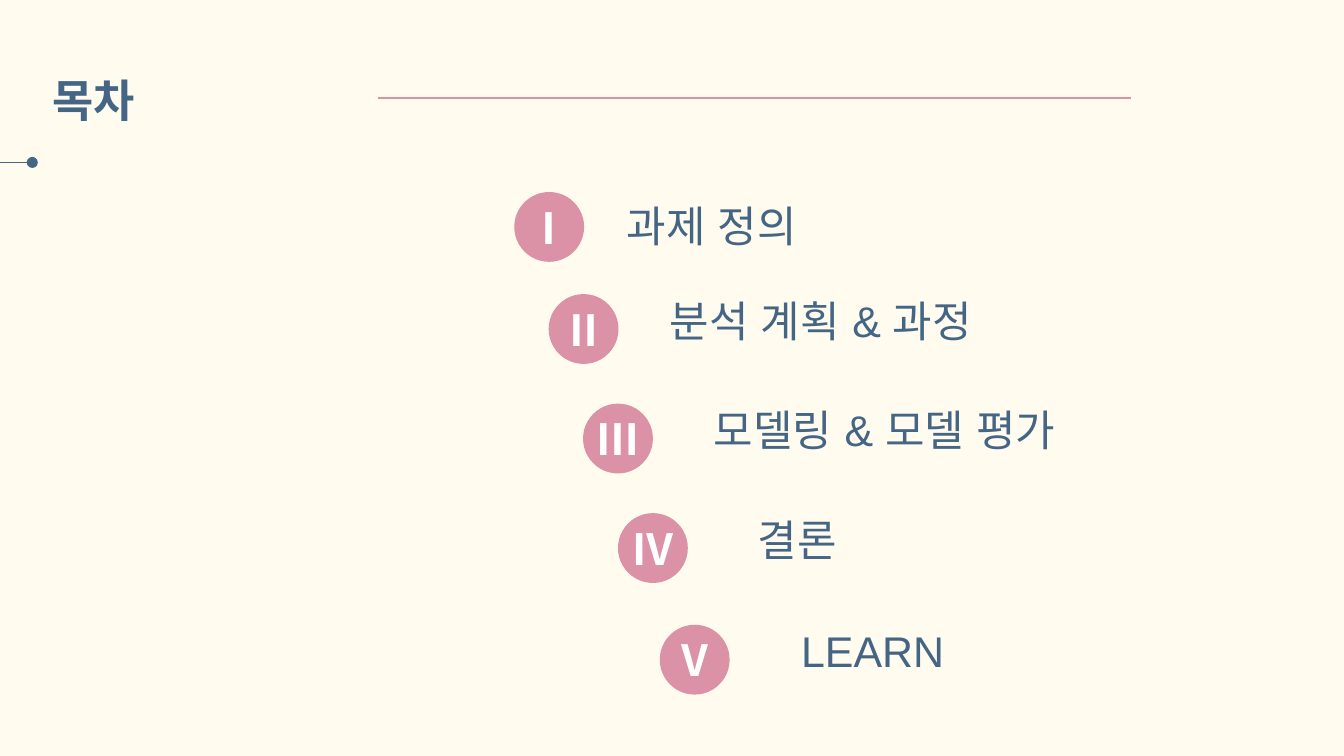
from lxml import etree
from pptx import Presentation
from pptx.dml.color import RGBColor
from pptx.enum import shapes, text
from pptx.oxml import ns
from pptx.util import Cm, Pt

CREAM = RGBColor(0xFF, 0xFB, 0xEF)
ROSE = RGBColor(0xDB, 0x91, 0xA6)
NAVY = RGBColor(0x44, 0x66, 0x84)
WHITE = RGBColor(0xFF, 0xFF, 0xFF)

BODY_FONT = "Arial"
NUMERAL_FONT = "Noto Sans CJK KR"
BADGE_SIZE = 1.32

# Numeral, badge left and top, heading, heading left and top (cm)
CHAPTERS = [
    ("Ⅰ", 9.72, 3.63, "과제 정의", 11.66, 3.68),
    ("Ⅱ", 10.37, 5.56, "분석 계획 & 과정", 12.48, 5.46),
    ("Ⅲ", 11.02, 7.63, "모델링 & 모델 평가", 13.31, 7.53),
    ("Ⅳ", 11.68, 9.7, "결론", 14.14, 9.6),
    ("Ⅴ", 12.47, 11.81, "LEARN", 14.96, 11.71),
]


def write(frame, wording, size, color, font=BODY_FONT, bold=False):
    para = frame.paragraphs[0]
    span = para.add_run()
    span.text = wording
    span.font.size = Pt(size)
    span.font.bold = bold
    span.font.color.rgb = color
    span.font.name = font
    # Korean text takes its font from the East Asian slot
    etree.SubElement(span.font._element, ns.qn("a:ea"), typeface=font)
    return para


def set_frame(frame, anchor, side=0.0, edge=0.0):
    frame.word_wrap = True
    frame.auto_size = text.MSO_AUTO_SIZE.NONE
    frame.vertical_anchor = anchor
    frame.margin_left = frame.margin_right = Cm(side)
    frame.margin_top = frame.margin_bottom = Cm(edge)


def add_title(page, wording):
    title = page.shapes.title
    title.left, title.top = Cm(0.81), Cm(1.27)
    title.width, title.height = Cm(6.35), Cm(1.22)
    set_frame(title.text_frame, text.MSO_ANCHOR.TOP, 0.18, 0.1)
    para = write(title.text_frame, wording, 24, NAVY, bold=True)
    para.alignment = text.PP_ALIGN.LEFT


def add_rule(page, left, right, top, color, width, dot=False):
    rule = page.shapes.add_connector(
        shapes.MSO_CONNECTOR.STRAIGHT, Cm(left), Cm(top), Cm(right), Cm(top))
    rule.line.color.rgb = color
    rule.line.width = Pt(width)
    if dot:
        etree.SubElement(rule.line._get_or_add_ln(), ns.qn("a:tailEnd"), type="oval")
    etree.SubElement(rule._element.spPr, ns.qn("a:effectLst"))


def add_badge(page, numeral, left, top):
    badge = page.shapes.add_shape(
        shapes.MSO_SHAPE.OVAL, Cm(left), Cm(top), Cm(BADGE_SIZE), Cm(BADGE_SIZE))
    badge.shadow.inherit = False
    badge.fill.solid()
    badge.fill.fore_color.rgb = ROSE
    badge.line.fill.background()
    set_frame(badge.text_frame, text.MSO_ANCHOR.MIDDLE)
    para = write(badge.text_frame, numeral, 23, WHITE, NUMERAL_FONT, bold=True)
    para.alignment = text.PP_ALIGN.CENTER


def add_heading(page, wording, left, top):
    box = page.shapes.add_textbox(Cm(left), Cm(top), Cm(8.1), Cm(1.5))
    set_frame(box.text_frame, text.MSO_ANCHOR.TOP, 0.18, 0.1)
    write(box.text_frame, wording, 23, NAVY)


def main():
    deck = Presentation()
    deck.slide_width, deck.slide_height = Cm(25.4), Cm(14.29)
    page = deck.slides.add_slide(deck.slide_layouts.get_by_name("Title Only"))
    page.background.fill.solid()
    page.background.fill.fore_color.rgb = CREAM

    # Title and its two rules
    add_title(page, "목차")
    add_rule(page, 7.14, 21.38, 1.86, ROSE, 1)
    add_rule(page, 0, 0.61, 3.07, NAVY, 0.75, dot=True)

    # Stepped list of chapters
    for numeral, badge_left, badge_top, heading, left, top in CHAPTERS:
        add_badge(page, numeral, badge_left, badge_top)
        add_heading(page, heading, left, top)

    deck.save("out.pptx")


if __name__ == "__main__":
    main()
